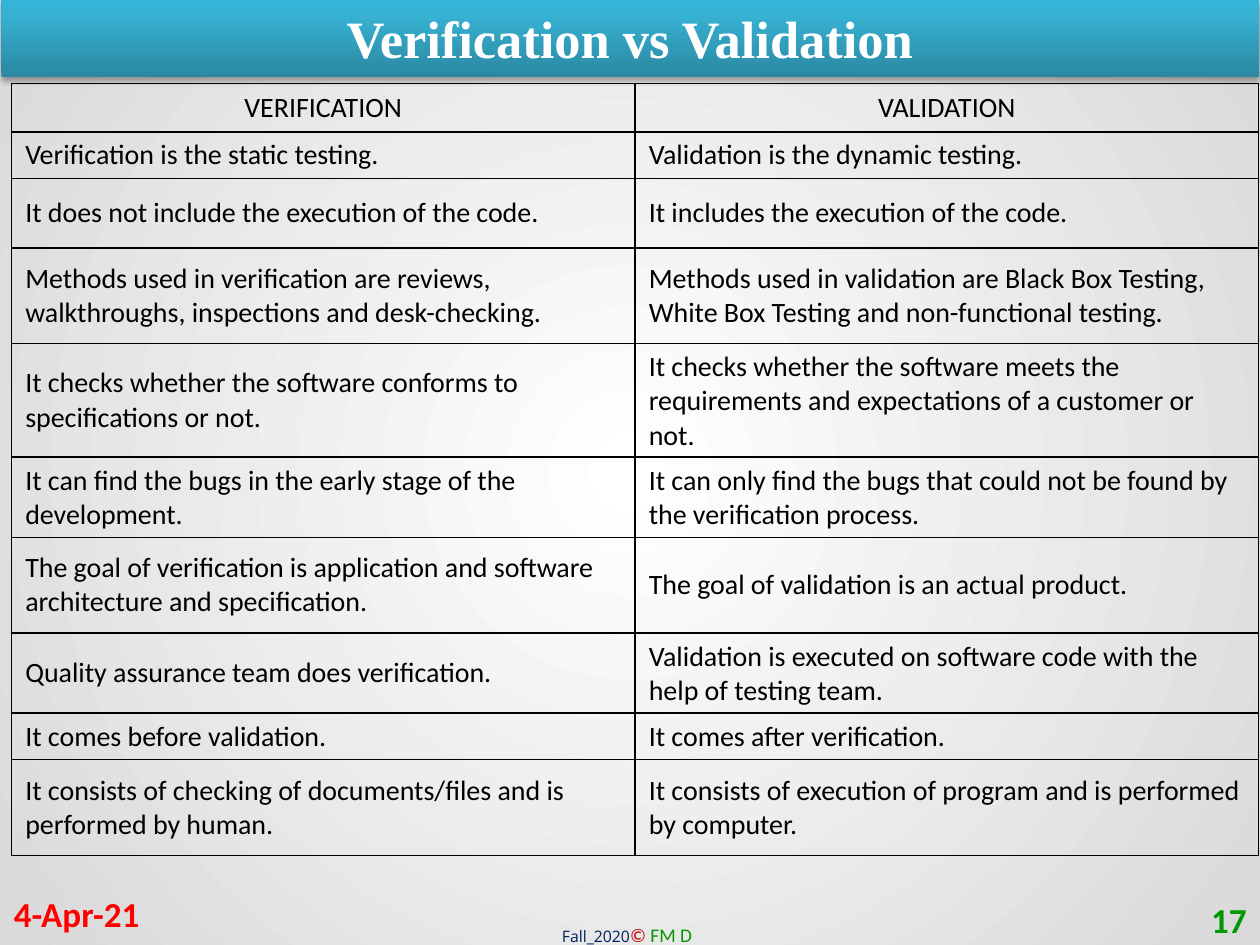
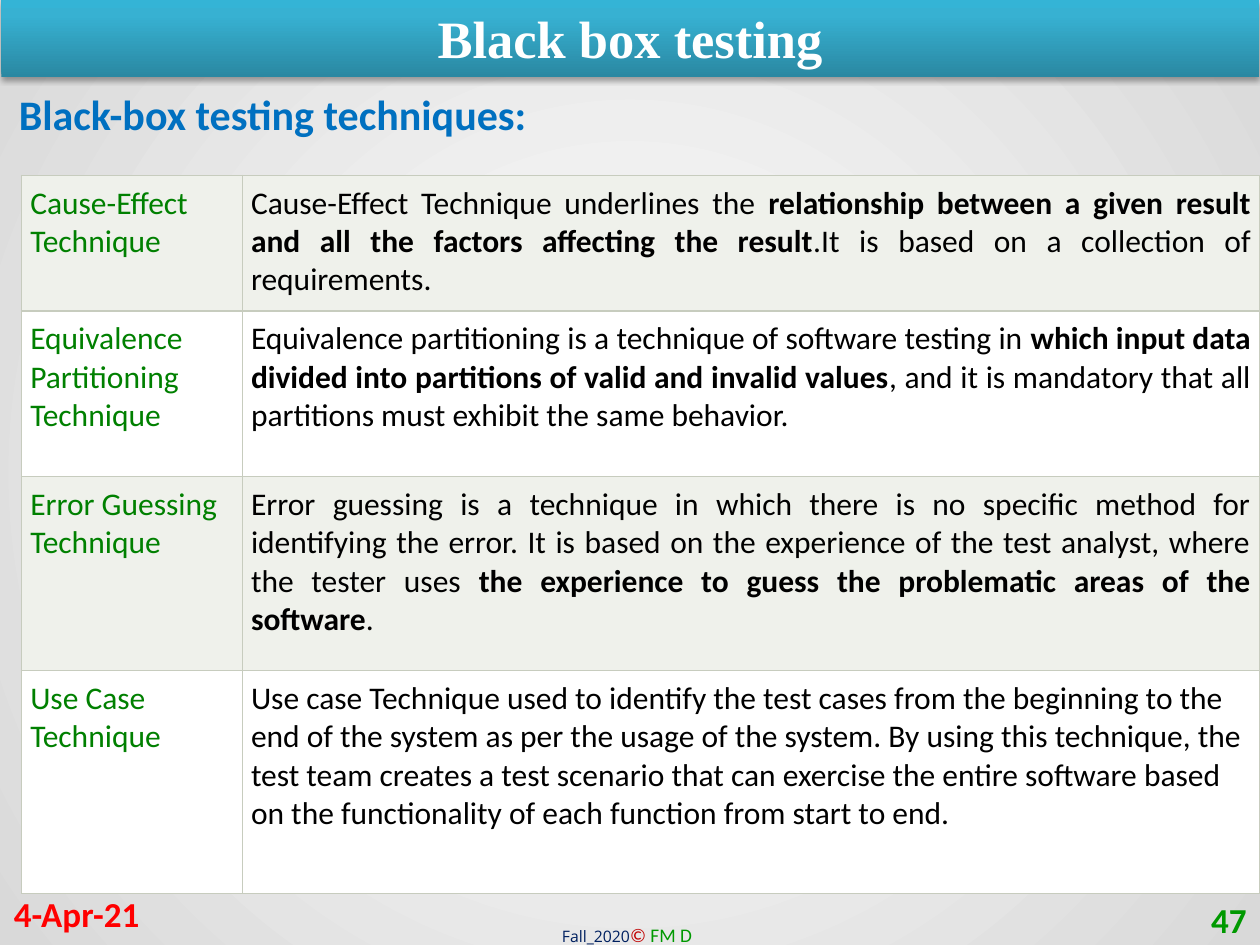
import pptx
import pptx.dml.color
import pptx.enum.shapes
import pptx.enum.text
import pptx.oxml
import pptx.oxml.ns
import pptx.util

Cm = pptx.util.Cm
Pt = pptx.util.Pt
ALIGN = pptx.enum.text.PP_ALIGN
ANCHOR = pptx.enum.text.MSO_ANCHOR

BLACK, WHITE = "000000", "FFFFFF"
NAVY, DARK_RED, RED, BLUE = "002060", "C00000", "FF0000", "0070C0"
FOOTER_GREEN, TECHNIQUE_GREEN = "009900", "008000"
BAND_TINT, BAND_BORDER = "EFF1EB", "C7CCBE"
BAND_STOPS = [(0, "2A88A2"), (80, "37B1D2"), (100, "34B4D6")]
PAGE_STOPS = [(0, WHITE), (100, "D9D9D9")]
UPWARD = '<a:lin {ns} ang="16200000" scaled="0"/>'
RADIAL = ('<a:path {ns} path="circle"><a:fillToRect l="50000" t="50000" '
          'r="50000" b="50000"/></a:path>')
BAND_SHADOW = ('<a:outerShdw {ns} blurRad="39370" dist="22860" dir="5400000" '
               'rotWithShape="0"><a:srgbClr val="000000"><a:alpha val="35000"/>'
               '</a:srgbClr></a:outerShdw>')

COMPARISON = [
    ("VERIFICATION", "VALIDATION"),
    ("Verification is the static testing.", "Validation is the dynamic testing."),
    ("It does not include the execution of the code.",
     "It includes the execution of the code."),
    ("Methods used in verification are reviews, walkthroughs, inspections and desk-checking.",
     "Methods used in validation are Black Box Testing, White Box Testing and "
     "non-functional testing."),
    ("It checks whether the software conforms to specifications or not.",
     "It checks whether the software meets the requirements and expectations of a "
     "customer or not."),
    ("It can find the bugs in the early stage of the development.",
     "It can only find the bugs that could not be found by the verification process."),
    ("The goal of verification is application and software architecture and specification.",
     "The goal of validation is an actual product."),
    ("Quality assurance team does verification.",
     "Validation is executed on software code with the help of testing team."),
    ("It comes before validation.", "It comes after verification."),
    ("It consists of checking of documents/files and is performed by human.",
     "It consists of execution of program and is performed by computer."),
]
COMPARISON_HEIGHTS = [0.91, 0.86, 1.4, 1.93, 1.93, 1.4, 1.93, 1.4, 0.86, 1.93]

TECHNIQUES = [
    ("Cause-Effect Technique",
     ["Cause-Effect Technique underlines the ",
      "relationship between a given result and all the factors affecting the result",
      ".It is based on a collection of requirements."]),
    ("Equivalence Partitioning Technique",
     ["Equivalence partitioning is a technique of software testing in ",
      "which input data divided into partitions of valid and invalid values",
      ", and it is mandatory that all partitions must exhibit the same behavior."]),
    ("Error Guessing Technique",
     ["Error guessing is a technique in which there is no specific method for "
      "identifying the error. It is based on the experience of the test analyst, "
      "where the tester uses ",
      "the experience to guess the problematic areas of the software",
      "."]),
    ("Use Case Technique",
     ["Use case Technique used to identify the test cases from the beginning to the "
      "end of the system as per the usage of the system. By using this technique, the "
      "test team creates a test scenario that can exercise the entire software based "
      "on the functionality of each function from start to end."]),
]
TECHNIQUE_HEIGHTS = [2.74, 3.33, 3.91, 4.5]


def rgb(value):
    return pptx.dml.color.RGBColor.from_string(value)


def xml(template):
    return pptx.oxml.parse_xml(template.replace("{ns}", pptx.oxml.ns.nsdecls("a")))


def add_run(p, text, size=18, color=BLACK, font="Calibri", bold=False, italic=False):
    r = p.add_run()
    r.text = text
    r.font.size = Pt(size)
    r.font.name = font
    r.font.bold = bold
    r.font.italic = italic
    r.font.color.rgb = rgb(color)


def set_gradient(fill, element, stops, direction):
    fill.gradient()
    grad = element.find(".//" + pptx.oxml.ns.qn("a:gradFill"))
    grad.clear()
    marks = "".join(f'<a:gs pos="{pos * 1000}"><a:srgbClr val="{color}"/></a:gs>'
                    for pos, color in stops)
    grad.append(xml("<a:gsLst {ns}>" + marks + "</a:gsLst>"))
    grad.append(xml(direction))


def add_text_box(slide, left, top, width, height, align=ALIGN.LEFT, anchor=ANCHOR.TOP):
    tf = slide.shapes.add_textbox(Cm(left), Cm(top), Cm(width), Cm(height)).text_frame
    tf.word_wrap = True
    tf.vertical_anchor = anchor
    p = tf.paragraphs[0]
    p.alignment = align
    return p


def add_title_band(slide, title):
    sp = slide.shapes.add_shape(pptx.enum.shapes.MSO_SHAPE.RECTANGLE,
                                Cm(0.03), Cm(0), Cm(25.35), Cm(1.55))
    set_gradient(sp.fill, sp.element, BAND_STOPS, UPWARD)
    sp.line.fill.background()
    sp.shadow.inherit = False
    effects = sp.element.spPr.find(pptx.oxml.ns.qn("a:effectLst"))
    effects.append(xml(BAND_SHADOW))
    tf = sp.text_frame
    tf.word_wrap = True
    tf.vertical_anchor = ANCHOR.TOP
    p = tf.paragraphs[0]
    p.alignment = ALIGN.CENTER
    add_run(p, title, size=30, color=WHITE, font="Times New Roman", bold=True)


def add_footer(slide, number):
    p = add_text_box(slide, 10.92, 18.49, 3.43, 0.74)
    p._p.get_or_add_pPr().set("marL", str(Cm(0.16)))
    add_run(p, "Fall_2020", size=9, color=NAVY, font="Open Sans")
    add_run(p, "© ", size=11, color=DARK_RED, italic=True)
    add_run(p, "FM D", size=11, color=FOOTER_GREEN)
    p = add_text_box(slide, 0.03, 17.91, 5.92, 1.02, anchor=ANCHOR.MIDDLE)
    add_run(p, "4-Apr-21", size=20, color=RED, bold=True)
    p = add_text_box(slide, 19.46, 18.03, 5.92, 1.02, ALIGN.RIGHT, ANCHOR.MIDDLE)
    add_run(p, number, size=20, color=FOOTER_GREEN, bold=True)


def add_slide(prs, title, number):
    slide = prs.slides.add_slide(prs.slide_layouts[6])
    set_gradient(slide.background.fill, slide.element, PAGE_STOPS, RADIAL)
    add_title_band(slide, title)
    add_footer(slide, number)
    return slide


def add_grid(slide, left, top, widths, heights):
    frame = slide.shapes.add_table(len(heights), len(widths), Cm(left), Cm(top),
                                   Cm(sum(widths)), Cm(sum(heights)))
    table = frame.table
    table.first_row = table.horz_banding = False
    for column, width in zip(table.columns, widths):
        column.width = Cm(width)
    for row, height in zip(table.rows, heights):
        row.height = Cm(height)
    return table


def format_cell(cell, border, border_width, side, end, fill=None,
                anchor=ANCHOR.TOP, align=ALIGN.LEFT):
    cell.margin_left = cell.margin_right = Cm(side)
    cell.margin_top = cell.margin_bottom = Cm(end)
    cell.vertical_anchor = anchor
    tc_pr = cell._tc.get_or_add_tcPr()
    for edge in "LRTB":
        tc_pr.append(xml(f'<a:ln{edge} {{ns}} w="{Pt(border_width)}"><a:solidFill>'
                         f'<a:srgbClr val="{border}"/></a:solidFill></a:ln{edge}>'))
    if fill:
        cell.fill.solid()
        cell.fill.fore_color.rgb = rgb(fill)
    else:
        cell.fill.background()
    p = cell.text_frame.paragraphs[0]
    p.alignment = align
    return p


def add_comparison_table(slide):
    table = add_grid(slide, 0.23, 1.68, [12.57, 12.57], COMPARISON_HEIGHTS)
    for i, texts in enumerate(COMPARISON):
        side, end, align = (0.28, 0.13, ALIGN.LEFT) if i else (0.15, 0.15, ALIGN.CENTER)
        for j, text in enumerate(texts):
            p = format_cell(table.cell(i, j), BLACK, 1, side, end,
                            anchor=ANCHOR.MIDDLE, align=align)
            add_run(p, text, size=16)


def add_technique_table(slide):
    table = add_grid(slide, 0.43, 3.53, [4.45, 20.52], TECHNIQUE_HEIGHTS)
    for i, (name, parts) in enumerate(TECHNIQUES):
        fill = WHITE if i % 2 else BAND_TINT
        p = format_cell(table.cell(i, 0), BAND_BORDER, 0.75, 0.18, 0.18, fill)
        add_run(p, name, color=TECHNIQUE_GREEN)
        align = ALIGN.JUSTIFY if len(parts) > 1 else ALIGN.LEFT
        p = format_cell(table.cell(i, 1), BAND_BORDER, 0.75, 0.18, 0.18, fill, align=align)
        for j, part in enumerate(parts):
            add_run(p, part, bold=j == 1)


def main():
    prs = pptx.Presentation()
    prs.slide_width, prs.slide_height = Cm(25.4), Cm(19.05)

    slide = add_slide(prs, "Verification vs Validation", "17")
    add_comparison_table(slide)

    slide = add_slide(prs, "Black box testing", "47")
    p = add_text_box(slide, 0.13, 1.65, 23.85, 1.27)
    add_run(p, "Black-box testing techniques:", size=24, color=BLUE, bold=True)
    add_technique_table(slide)

    prs.save("out.pptx")


if __name__ == "__main__":
    main()
